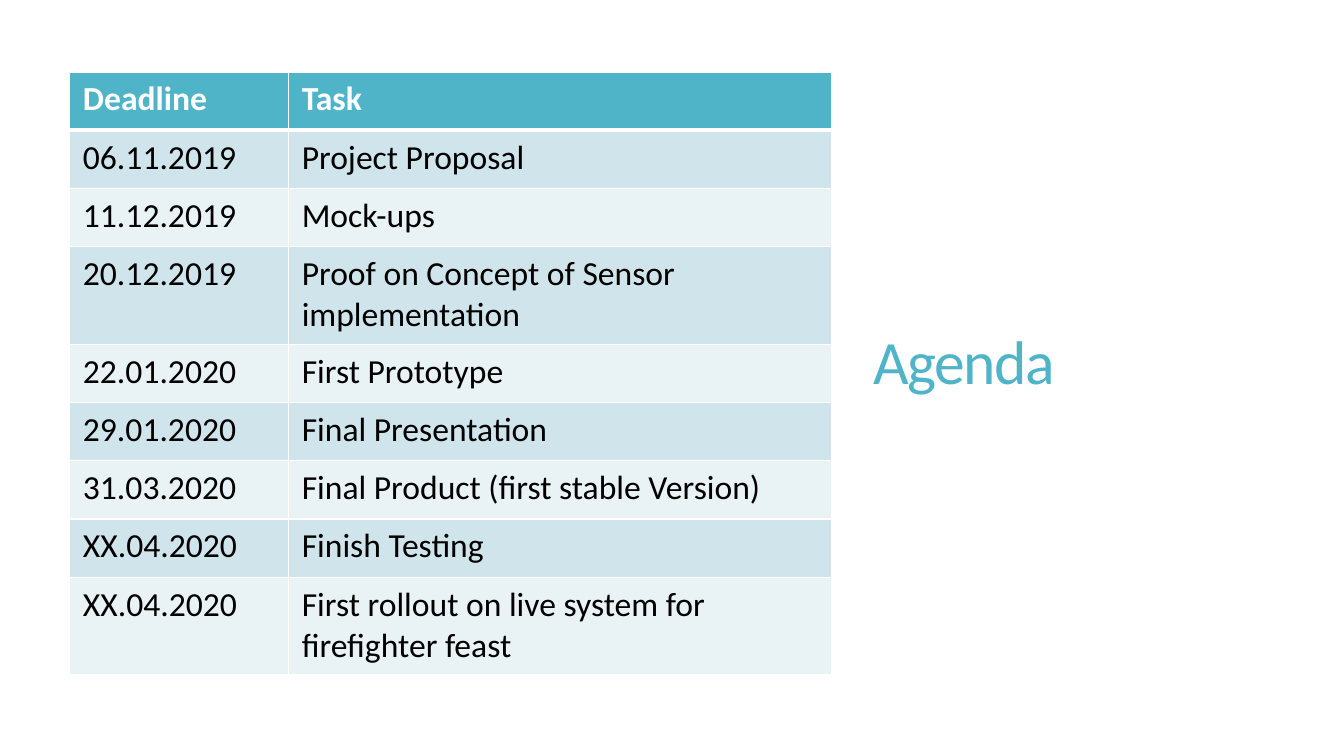
"""Build the agenda slide: a table of deadlines beside the title."""
from dataclasses import dataclass

from lxml import etree
from pptx import Presentation
from pptx.dml.color import RGBColor
from pptx.enum import text
from pptx.oxml import ns
from pptx.util import Pt

TITLE = "Agenda"
HEADER = ("Deadline", "Task")
TASKS = [
    ("06.11.2019", "Project Proposal"),
    ("11.12.2019", "Mock-ups"),
    ("20.12.2019", "Proof on Concept of Sensor implementation"),
    ("22.01.2020", "First Prototype"),
    ("29.01.2020", "Final Presentation"),
    ("31.03.2020", "Final Product (first stable Version)"),
    ("XX.04.2020", "Finish Testing"),
    ("XX.04.2020", "First rollout on live system for firefighter feast"),
]

SLIDE_SIZE = (960, 540)
TITLE_BOX = (617, 39.6, 291.6, 443.5)
TABLE_ORIGIN = (49.9, 51.4)
COLUMN_WIDTHS = (156.3, 388)
ROW_HEIGHT, TALL_ROW_HEIGHT = 41.6, 69.8
CHARACTERS_PER_LINE = 38
MARGIN_X, MARGIN_Y = 9.4, 5
THIN, THICK = 1, 3


@dataclass(frozen=True)
class Theme:
    """Colours, font and type sizes."""
    accent: str = "50B4C8"
    bands: tuple = ("D0E5EB", "E9F2F5")
    white: str = "FFFFFF"
    black: str = "000000"
    font: str = "Calibri"
    title_size: int = 44
    table_size: int = 24


THEME = Theme()


def style_font(font, size, color, bold=False):
    """Apply the theme font with a size, colour and weight."""
    font.name, font.size, font.bold = THEME.font, Pt(size), bold
    font.color.rgb = RGBColor.from_string(color)


def set_borders(cell, widths):
    """Draw white borders, given widths for left, right, top and bottom."""
    properties = cell._tc.get_or_add_tcPr()
    for index, (side, width) in enumerate(zip("LRTB", widths)):
        line = etree.Element(ns.qn(f"a:ln{side}"), w=str(Pt(width)))
        fill = etree.SubElement(line, ns.qn("a:solidFill"))
        etree.SubElement(fill, ns.qn("a:srgbClr"), val=THEME.white)
        properties.insert(index, line)


def add_title(slide):
    """Place the title to the right of the table."""
    title = slide.shapes.title
    title.left, title.top, title.width, title.height = map(Pt, TITLE_BOX)
    frame = title.text_frame
    frame.text = TITLE
    frame.word_wrap = True
    frame.vertical_anchor = text.MSO_ANCHOR.MIDDLE
    paragraph = frame.paragraphs[0]
    paragraph.alignment = text.PP_ALIGN.LEFT
    paragraph.line_spacing = 0.85
    style_font(paragraph.font, THEME.title_size, THEME.accent)
    paragraph.runs[0].font._element.set("spc", "-120")


def fill_cell(cell, content, row_index):
    """Write and format one table cell."""
    is_header = row_index == 0
    cell.text = content
    cell.margin_left = cell.margin_right = Pt(MARGIN_X)
    cell.margin_top = cell.margin_bottom = Pt(MARGIN_Y)
    cell.fill.solid()
    background = THEME.accent if is_header else THEME.bands[(row_index - 1) % 2]
    cell.fill.fore_color.rgb = RGBColor.from_string(background)
    color = THEME.white if is_header else THEME.black
    style_font(cell.text_frame.paragraphs[0].font, THEME.table_size, color, is_header)
    top = THICK if row_index == 1 else THIN
    bottom = THICK if is_header else THIN
    set_borders(cell, (THIN, THIN, top, bottom))


def add_agenda_table(slide):
    """Add the table, with taller rows for tasks that wrap."""
    rows = [HEADER, *TASKS]
    heights = [TALL_ROW_HEIGHT if len(task) > CHARACTERS_PER_LINE else ROW_HEIGHT
               for _, task in rows]
    box = (*TABLE_ORIGIN, sum(COLUMN_WIDTHS), sum(heights))
    table = slide.shapes.add_table(len(rows), len(HEADER), *map(Pt, box)).table
    for column, width in zip(table.columns, COLUMN_WIDTHS):
        column.width = Pt(width)
    for row_index, (row, height) in enumerate(zip(rows, heights)):
        table.rows[row_index].height = Pt(height)
        for column_index, content in enumerate(row):
            fill_cell(table.cell(row_index, column_index), content, row_index)


def main():
    """Create and save the presentation."""
    presentation = Presentation()
    presentation.slide_width, presentation.slide_height = map(Pt, SLIDE_SIZE)
    slide = presentation.slides.add_slide(presentation.slide_layouts.get_by_name("Title Only"))
    add_title(slide)
    add_agenda_table(slide)
    presentation.save("out.pptx")


if __name__ == "__main__":
    main()
